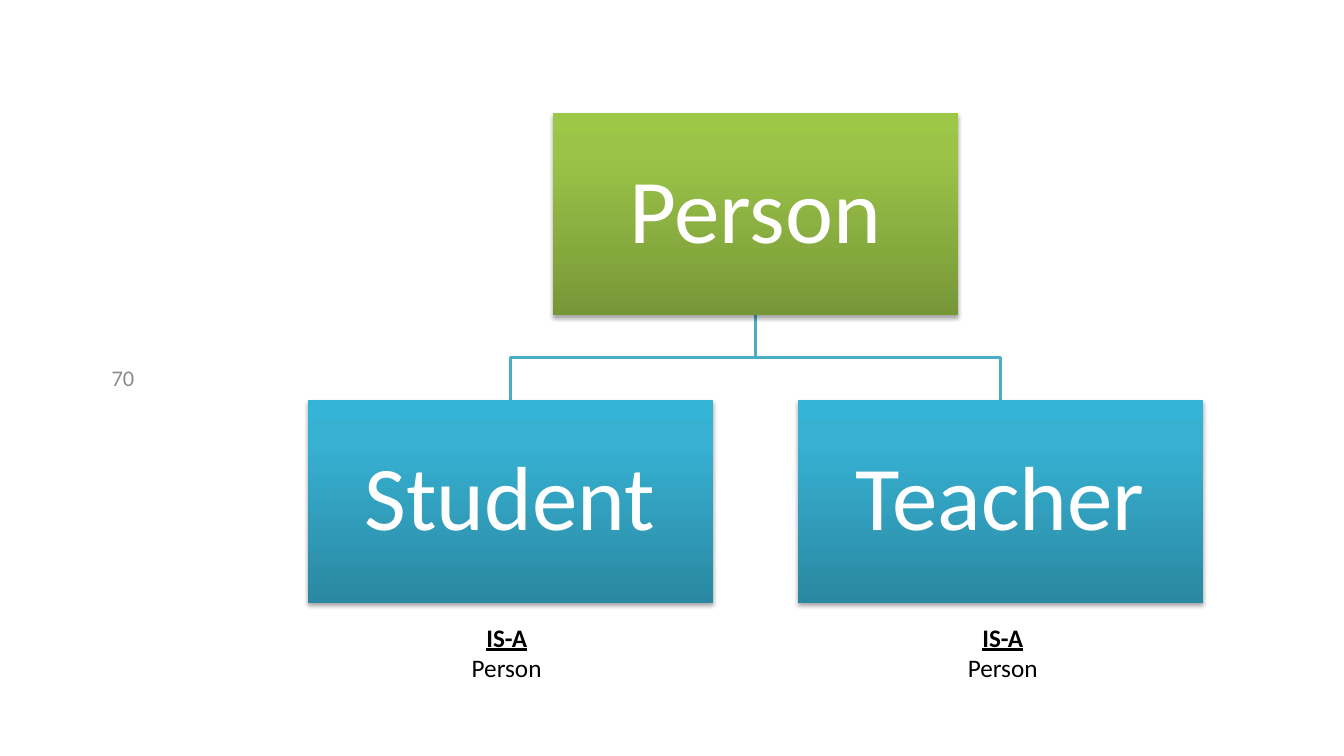
from copy import deepcopy

from lxml.etree import SubElement
from pptx import Presentation
from pptx.dml.color import RGBColor
from pptx.enum.shapes import MSO_SHAPE
from pptx.enum.text import MSO_ANCHOR, MSO_AUTO_SIZE, PP_ALIGN
from pptx.oxml.ns import qn
from pptx.util import Inches, Pt

COLORS = {
    "white": "FFFFFF",
    "black": "000000",
    "number": "8C8C8C",
    "line": "4BACC6",
}
GREEN = {0: "779737", 0.8: "9BC348", 1: "9DC746"}
BLUE = {0: "2A88A2", 0.8: "37B1D2", 1: "34B4D6"}
FONT = "Calibri"
BOX_W, BOX_H = 4.02, 2.01
GAP_X, GAP_Y = 0.84, 0.84


def set_paragraph(p, text, size, color, align=PP_ALIGN.CENTER):
    p.text = text
    p.alignment = align
    p.font.name = FONT
    p.font.size = Pt(size)
    p.font.color.rgb = RGBColor.from_string(COLORS[color])


def set_gradient(s, stops):
    s.fill.gradient()
    s.fill.gradient_angle = 90
    gs_list = s._element.spPr.find(qn("a:gradFill")).find(qn("a:gsLst"))
    gs_list.append(deepcopy(gs_list[0]))
    for stop, (position, color) in zip(s.fill.gradient_stops, stops.items()):
        stop.position = position
        stop.color.rgb = RGBColor.from_string(color)


def set_shadow(s):
    s.shadow.inherit = False
    effects = s._element.spPr.find(qn("a:effectLst"))
    shadow = SubElement(effects, qn("a:outerShdw"), blurRad=str(Pt(3.1)),
                        dist=str(Pt(1.8)), dir="5400000", rotWithShape="0")
    color = SubElement(shadow, qn("a:srgbClr"), val=COLORS["black"])
    SubElement(color, qn("a:alpha"), val="35000")


def add_class_box(slide, x, y, name, stops):
    s = slide.shapes.add_shape(MSO_SHAPE.RECTANGLE, Inches(x), Inches(y),
                               Inches(BOX_W), Inches(BOX_H))
    s.line.fill.background()
    set_gradient(s, stops)
    set_shadow(s)
    tf = s.text_frame
    tf.word_wrap = True
    tf.vertical_anchor = MSO_ANCHOR.MIDDLE
    tf.margin_left = tf.margin_right = Inches(0.05)
    tf.margin_top = tf.margin_bottom = Inches(0.05)
    p = tf.paragraphs[0]
    set_paragraph(p, name, 65, "white")
    p.line_spacing = 0.9


def add_branch(slide, x, y, child_x, child_y):
    mid_y = (y + child_y) / 2
    builder = slide.shapes.build_freeform(Inches(x), Inches(y))
    points = [(x, mid_y), (child_x, mid_y), (child_x, child_y)]
    builder.add_line_segments([(Inches(a), Inches(b)) for a, b in points], close=False)
    s = builder.convert_to_shape()
    s.shadow.inherit = False
    s.fill.background()
    s.line.color.rgb = RGBColor.from_string(COLORS["line"])
    s.line.width = Pt(2)


def add_hierarchy(slide, x, y, parent, children):
    step = BOX_W + GAP_X
    parent_x = x + step * (len(children) - 1) / 2
    child_y = y + BOX_H + GAP_Y
    for i in reversed(range(len(children))):
        add_branch(slide, parent_x + BOX_W / 2, y + BOX_H,
                   x + i * step + BOX_W / 2, child_y)
    add_class_box(slide, parent_x, y, parent, GREEN)
    for i, child in enumerate(children):
        add_class_box(slide, x + i * step, child_y, child, BLUE)


def add_relation(slide, x, y, parent):
    s = slide.shapes.add_textbox(Inches(x), Inches(y), Inches(1.01), Inches(0.71))
    tf = s.text_frame
    tf.word_wrap = False
    tf.auto_size = MSO_AUTO_SIZE.SHAPE_TO_FIT_TEXT
    p = tf.paragraphs[0]
    set_paragraph(p, "IS-A", 18, "black")
    p.runs[0].font.bold = True
    p.runs[0].font.underline = True
    set_paragraph(tf.add_paragraph(), parent, 18, "black")


def add_page_number(slide, x, y, number):
    s = slide.shapes.add_textbox(Inches(x), Inches(y), Inches(0.85), Inches(0.4))
    tf = s.text_frame
    tf.word_wrap = True
    tf.vertical_anchor = MSO_ANCHOR.MIDDLE
    set_paragraph(tf.paragraphs[0], number, 16, "number", PP_ALIGN.RIGHT)


def main():
    prs = Presentation()
    prs.slide_width, prs.slide_height = Inches(13.33), Inches(7.5)
    slide = prs.slides.add_slide(prs.slide_layouts[6])
    add_page_number(slide, 0.58, 3.55, "70")
    add_hierarchy(slide, 3.05, 1.12, "Person", ["Student", "Teacher"])
    for x in (4.52, 9.44):
        add_relation(slide, x, 6.12, "Person")
    prs.save("out.pptx")


if __name__ == "__main__":
    main()
